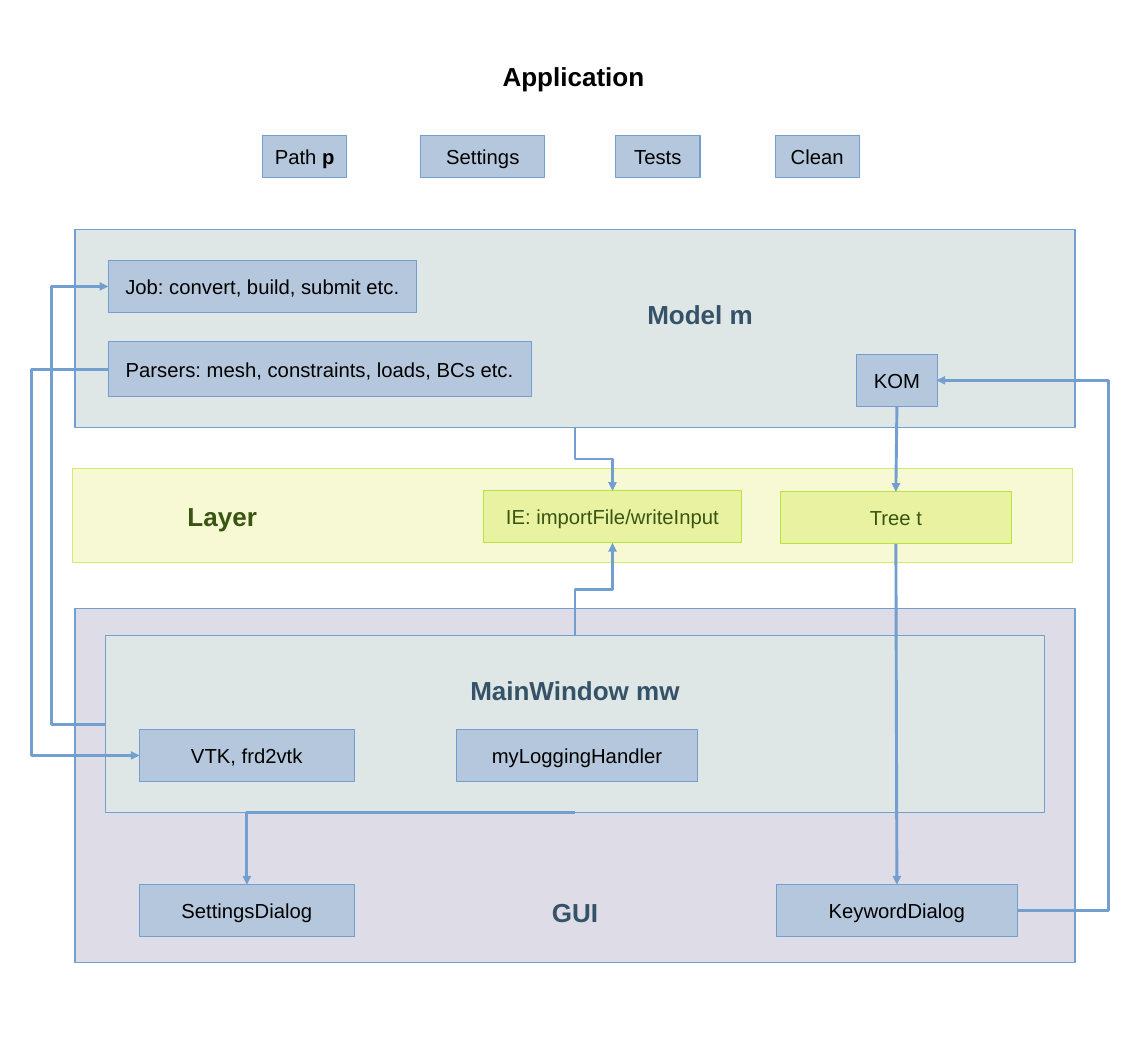
from lxml.etree import SubElement
from pptx import Presentation
from pptx.dml.color import RGBColor
from pptx.enum.shapes import MSO_CONNECTOR as Connector, MSO_SHAPE as Shape
from pptx.enum.text import MSO_ANCHOR as Anchor, PP_ALIGN as Align
from pptx.oxml.ns import qn
from pptx.util import Pt

EMU_PER_PX = 9144  # 100 px to the inch
COLORS = {
    "black": "000000", "line": "729FCF", "box": "B4C7DC",
    "panel": "DEE7E5", "gui": "DEDCE6", "heading": "355269",
    "layer": "F6F9D4", "layer_line": "D4EA6B", "layer_text": "395511",
    "layer_box": "E8F2A1", "layer_box_line": "BBE33D",
}
TOP, LEFT, BOTTOM, RIGHT = range(4)


def px(value):
    return round(value * EMU_PER_PX)


def color(name):
    return RGBColor.from_string(COLORS[name])


def write_text(shape, *runs, size=14, bold=False, ink="black", align=Align.CENTER,
               anchor=Anchor.MIDDLE, margins=(10, 5, 10, 5), wrap=True):
    """Fill a shape with runs, each a string or a (string, bold) pair."""
    frame = shape.text_frame
    frame.word_wrap, frame.vertical_anchor = wrap, anchor
    (frame.margin_left, frame.margin_top,
     frame.margin_right, frame.margin_bottom) = map(px, margins)
    paragraph = frame.paragraphs[0]
    paragraph.alignment = align
    for item in runs:
        words, heavy = (item, bold) if isinstance(item, str) else item
        run = paragraph.add_run()
        run.text = words
        font = run.font
        font.name, font.size, font.bold = "Arial", Pt(size), heavy
        font.color.rgb = color(ink)


def add_rectangle(slide, left, top, width, height, fill="box", line="line"):
    shape = slide.shapes.add_shape(
        Shape.RECTANGLE, px(left), px(top), px(width), px(height))
    shape.shadow.inherit = False
    shape.fill.solid()
    shape.fill.fore_color.rgb = color(fill)
    shape.line.color.rgb = color(line)
    shape.line.width = 0
    return shape


def add_box(slide, left, top, width, height, *runs, fill="box", line="line", ink="black"):
    shape = add_rectangle(slide, left, top, width, height, fill, line)
    write_text(shape, *runs, ink=ink, wrap=False)
    return shape


def add_region(slide, box, title, fill, line="line", ink="heading", **text_format):
    region = add_rectangle(slide, *box, fill, line)
    write_text(region, title, size=18, bold=True, ink=ink, **text_format)
    return region


def add_header(slide, left, top):
    title = slide.shapes.add_textbox(px(left + 210), px(top), px(177), px(66))
    write_text(title, "Application", size=18, bold=True, anchor=Anchor.TOP)
    boxes = [(0, 81, ["Path ", ("p", True)]), (152, 119, ["Settings"]),
             (339, 81, ["Tests"]), (492, 81, ["Clean"])]
    for offset, width, runs in boxes:
        add_box(slide, left + offset, top + 77, width, 40, *runs)


def add_model(slide, left, top, width, height):
    add_region(slide, (left, top, width, height), "Model m", "panel",
               anchor=Anchor.TOP, margins=(250, 66, 10, 5))
    add_box(slide, left + 32, top + 30, 296, 50, "Job: convert, build, submit etc.")
    add_box(slide, left + 32, top + 108, 406, 53,
            "Parsers: mesh, constraints, loads, BCs etc.")
    return add_box(slide, left + 750, top + 120, 78, 50, "KOM")


def add_layer(slide, left, top, width, height):
    add_region(slide, (left, top, width, height), "Layer", "layer", "layer_line",
               "layer_text", align=Align.LEFT, margins=(110, 5, 10, 5))
    style = dict(fill="layer_box", line="layer_box_line", ink="layer_text")
    add_box(slide, left + 394, top + 21, 248, 50, "IE: importFile/writeInput", **style)
    return add_box(slide, left + 679, top + 22, 222, 50, "Tree t", **style)


def add_main_window(slide, left, top, width, height):
    add_region(slide, (left, top, width, height), "MainWindow mw", "panel",
               anchor=Anchor.TOP, margins=(10, 37, 10, 5))
    add_box(slide, left + 33, top + 90, 206, 50, "VTK, frd2vtk")
    add_box(slide, left + 337, top + 90, 232, 50, "myLoggingHandler")


def add_gui(slide, left, top, width, height):
    add_region(slide, (left, top, width, height), "GUI", "gui",
               anchor=Anchor.BOTTOM, margins=(10, 5, 10, 34))
    add_main_window(slide, left + 29, top + 26, 902, 170)
    add_box(slide, left + 62, top + 265, 206, 50, "SettingsDialog")
    return add_box(slide, left + 673, top + 265, 232, 50, "KeywordDialog")


def add_arrow(slide, kind, start, end):
    connector = slide.shapes.add_connector(kind, *map(px, (*start, *end)))
    connector.line.color.rgb = color("line")
    connector.line.width = 0
    properties = connector._element.spPr
    SubElement(properties.find(qn("a:ln")), qn("a:tailEnd"), type="triangle")
    SubElement(properties, qn("a:effectLst"))
    return connector


def join_down(slide, upper, lower):
    arrow = add_arrow(slide, Connector.STRAIGHT, (0, 0), (0, 0))
    arrow.begin_connect(upper, BOTTOM)
    arrow.end_connect(lower, TOP)


def add_side_arrow(slide, start, end, bend_x):
    """Elbow that runs sideways to bend_x, then vertically, then sideways."""
    arrow = add_arrow(slide, Connector.ELBOW, start, end)
    ratio = (bend_x - start[0]) / (end[0] - start[0])
    guides = arrow._element.spPr.find(qn("a:prstGeom")).get_or_add_avLst()
    SubElement(guides, qn("a:gd"), name="adj1", fmla=f"val {round(ratio * 100000)}")


def add_vertical_arrow(slide, start, end):
    """Elbow that leaves and arrives vertically, bending halfway, towards the right."""
    arrow = add_arrow(slide, Connector.ELBOW, start, end)
    center_x, center_y = (start[0] + end[0]) / 2, (start[1] + end[1]) / 2
    length, breadth = abs(end[1] - start[1]), abs(end[0] - start[0])
    arrow.left, arrow.top = px(center_x - length / 2), px(center_y - breadth / 2)
    arrow.width, arrow.height = px(length), px(breadth)
    downward = end[1] > start[1]
    frame = arrow._element.spPr.find(qn("a:xfrm"))
    frame.set("rot", str((90 if downward else 270) * 60000))
    frame.set("flipV", "1" if downward else "0")


def add_corner_arrow(slide, start, end):
    arrow = add_arrow(slide, Connector.ELBOW, start, end)
    arrow._element.spPr.find(qn("a:prstGeom")).set("prst", "bentConnector2")


def main():
    presentation = Presentation()
    presentation.slide_width, presentation.slide_height = px(1102), px(1000)
    slide = presentation.slides.add_slide(presentation.slide_layouts[6])

    add_header(slide, 252, 53)
    tree = add_layer(slide, 70, 450, 960, 90)
    keyword_dialog = add_gui(slide, 72, 584, 960, 340)
    kom = add_model(slide, 72, 220, 960, 190)

    join_down(slide, kom, tree)
    join_down(slide, tree, keyword_dialog)
    add_side_arrow(slide, (104, 355), (134, 725), 30)    # Parsers to VTK
    add_side_arrow(slide, (101, 695), (104, 275), 49)    # MainWindow to Job
    add_side_arrow(slide, (976, 874), (899, 365), 1064)  # KeywordDialog to KOM
    add_vertical_arrow(slide, (552, 410), (588, 471))    # Model to IE
    add_vertical_arrow(slide, (552, 610), (588, 521))    # MainWindow to IE
    add_corner_arrow(slide, (552, 780), (237, 849))      # MainWindow to SettingsDialog
    presentation.save("out.pptx")


if __name__ == "__main__":
    main()
